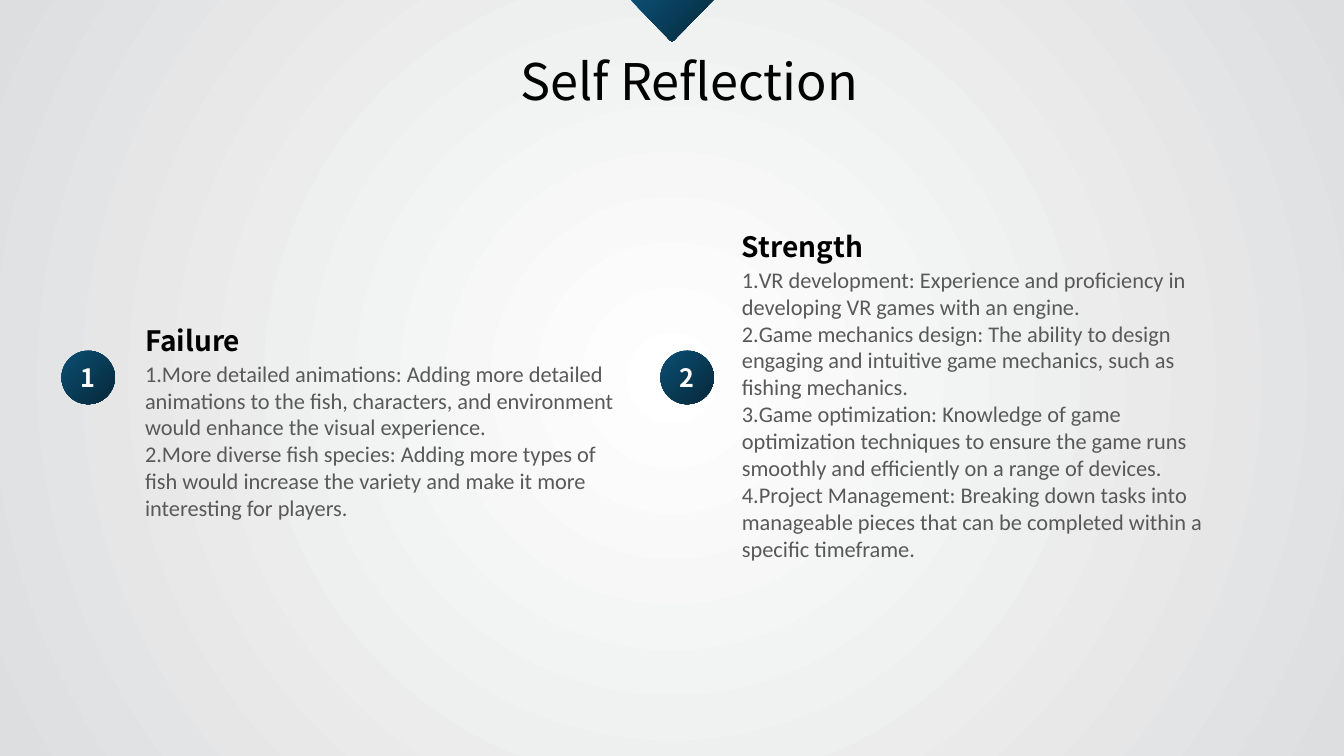
from lxml import etree
from pptx import Presentation
from pptx.dml.color import RGBColor
from pptx.enum import shapes, text
from pptx.oxml import ns
from pptx.util import Inches, Pt

COLORS = {"white": "FFFFFF", "edge": "DDDEDF", "teal": "0B4F73",
          "navy": "06283A", "title": "000000", "body": "595959"}
HEAD_FONT, BODY_FONT = "Noto Sans CJK SC", "Calibri"
BADGE_SIZE, BADGE_TOP = 0.53, 3.48
TEXT_WIDTH, HEADING_HEIGHT = 4.91, 0.44

# number, badge left, (text left, heading top, body height), heading, items
COLUMNS = [
    ("1", 0.61, (1.34, 3.16, 1.99), "Failure", [
        "More detailed animations: Adding more detailed animations to the fish, "
        "characters, and environment would enhance the visual experience.",
        "More diverse fish species: Adding more types of fish would increase "
        "the variety and make it more interesting for players.",
    ]),
    ("2", 6.55, (7.26, 2.23, 3.06), "Strength", [
        "VR development: Experience and proficiency in developing VR games "
        "with an engine.",
        "Game mechanics design: The ability to design engaging and intuitive "
        "game mechanics, such as fishing mechanics.",
        "Game optimization: Knowledge of game optimization techniques to ensure "
        "the game runs smoothly and efficiently on a range of devices.",
        "Project Management: Breaking down tasks into manageable pieces that "
        "can be completed within a specific timeframe.",
    ]),
]


def rgb(name):
    return RGBColor.from_string(COLORS[name])


def set_gradient(fill, start, end):
    fill.gradient()
    for stop, name in zip(fill.gradient_stops, (start, end)):
        stop.color.rgb = rgb(name)


def style_dark(sp):
    """Teal-to-navy diagonal fill, with no outline or shadow."""
    set_gradient(sp.fill, "teal", "navy")
    sp.fill.gradient_angle = 315
    sp.line.fill.background()
    sp.shadow.inherit = False


def style_paragraph(p, font, size, color, bold=False):
    for r in p.runs:
        r.font.name, r.font.size, r.font.bold = font, Pt(size), bold
        r.font.color.rgb = rgb(color)


def add_text(s, box, lines):
    sp = s.shapes.add_textbox(*map(Inches, box))
    tf = sp.text_frame
    tf.word_wrap = True
    tf.text = "\n".join(lines)
    return tf.paragraphs


def set_background(s):
    """Radial gradient, lightest at the centre of the slide."""
    set_gradient(s.background.fill, "white", "edge")
    grad = s.background._cSld.find(".//" + ns.qn("a:gradFill"))
    grad.remove(grad.find(ns.qn("a:lin")))
    radial = etree.SubElement(grad, ns.qn("a:path"), path="circle")
    etree.SubElement(radial, ns.qn("a:fillToRect"),
                     dict.fromkeys("ltrb", "50000"))


def add_header(s, left, top, width):
    """Notch hanging from the slide edge, with the title beneath it."""
    mid, half, depth = left + width / 2, 0.41, 0.41
    outline = [(mid - 0.02, depth - 0.01), (mid, depth),
               (mid + 0.02, depth - 0.01), (mid + half, 0)]
    notch = s.shapes.build_freeform(Inches(mid - half), Inches(top))
    notch.add_line_segments([(Inches(x), Inches(top + y)) for x, y in outline])
    style_dark(notch.convert_to_shape())
    p, = add_text(s, (mid - 1.6, top + 0.45, 3.65, 0.71), ["Self Reflection"])
    style_paragraph(p, HEAD_FONT, 36, "title")


def add_badge(s, left, top, number):
    sp = s.shapes.add_shape(shapes.MSO_SHAPE.OVAL, Inches(left), Inches(top),
                            Inches(BADGE_SIZE), Inches(BADGE_SIZE))
    style_dark(sp)
    tf = sp.text_frame
    tf.text = number
    tf.vertical_anchor = text.MSO_ANCHOR.MIDDLE
    p = tf.paragraphs[0]
    p.alignment = text.PP_ALIGN.CENTER
    style_paragraph(p, HEAD_FONT, 18, "white", bold=True)


def add_column(s, left, top, body_height, heading, items):
    """Bold heading over a numbered list."""
    p, = add_text(s, (left, top, TEXT_WIDTH, HEADING_HEIGHT), [heading])
    style_paragraph(p, HEAD_FONT, 20, "title", bold=True)
    for p in add_text(s, (left, top + 0.36, TEXT_WIDTH, body_height), items):
        pPr = p._p.get_or_add_pPr()
        pPr.set("marL", "0")
        pPr.set("indent", "0")
        etree.SubElement(pPr, ns.qn("a:buAutoNum"), type="arabicPeriod")
        style_paragraph(p, BODY_FONT, 16, "body")


def main():
    prs = Presentation()
    prs.slide_width, prs.slide_height = Inches(13.33), Inches(7.5)
    s = prs.slides.add_slide(prs.slide_layouts[6])
    set_background(s)
    add_header(s, 0, 0, 13.33)
    for number, badge_left, text_box, heading, items in COLUMNS:
        add_badge(s, badge_left, BADGE_TOP, number)
        add_column(s, *text_box, heading, items)
    prs.save("out.pptx")


if __name__ == "__main__":
    main()
